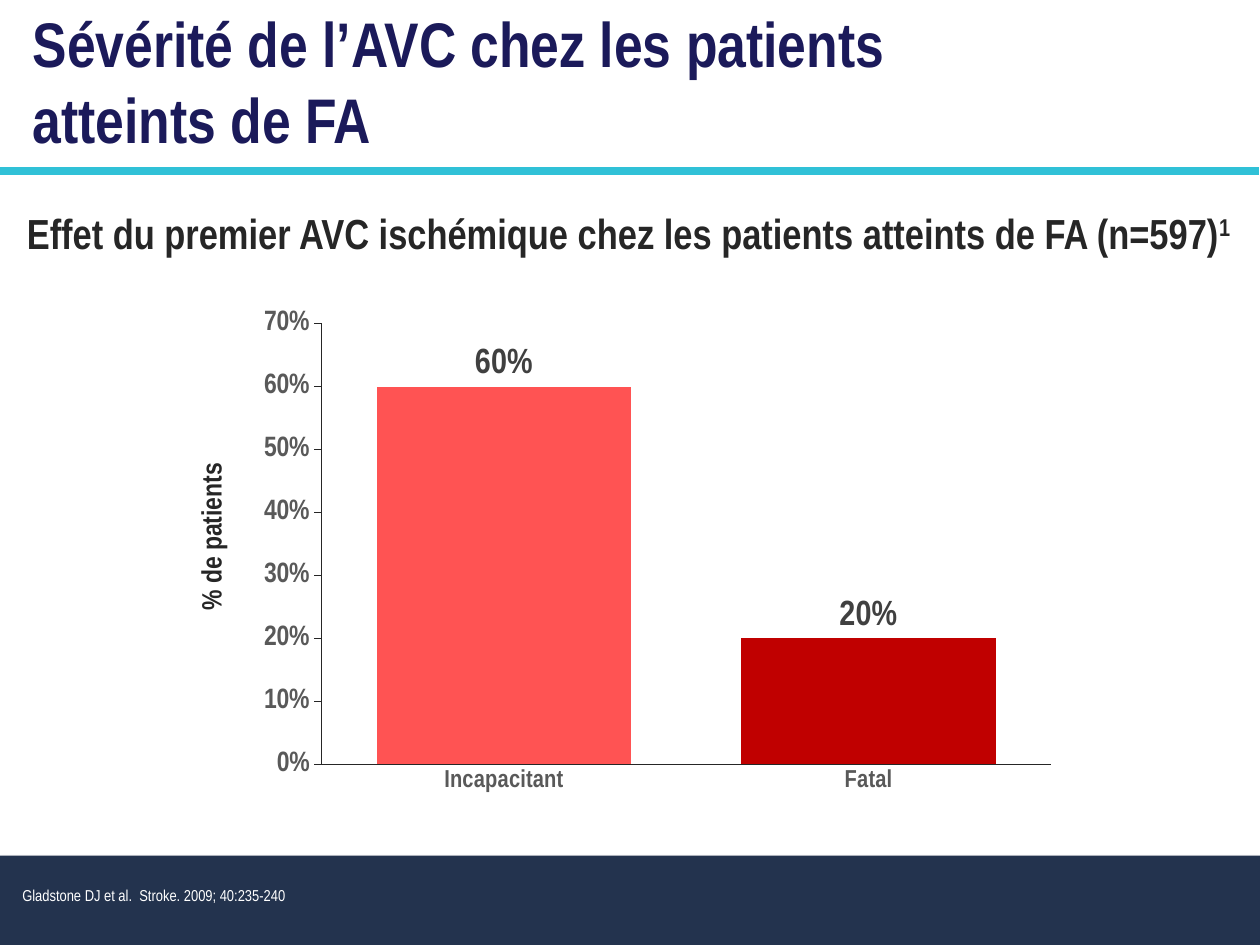
from lxml import etree
from pptx import Presentation
from pptx.chart.data import CategoryChartData
from pptx.dml.color import RGBColor
from pptx.enum.chart import XL_CHART_TYPE, XL_LABEL_POSITION, XL_TICK_MARK
from pptx.enum.shapes import MSO_CONNECTOR, MSO_SHAPE
from pptx.enum.text import MSO_AUTO_SIZE, PP_ALIGN
from pptx.oxml import parse_xml
from pptx.oxml.ns import nsdecls, qn
from pptx.util import Cm, Pt

COLUMN = XL_CHART_TYPE.COLUMN_CLUSTERED
OUTSIDE_END = XL_LABEL_POSITION.OUTSIDE_END
TICK_NONE, TICK_OUT = XL_TICK_MARK.NONE, XL_TICK_MARK.OUTSIDE
LEFT, CENTER = PP_ALIGN.LEFT, PP_ALIGN.CENTER
FIT_SHAPE = MSO_AUTO_SIZE.SHAPE_TO_FIT_TEXT
STRAIGHT, RECTANGLE = MSO_CONNECTOR.STRAIGHT, MSO_SHAPE.RECTANGLE

THEME = {
    "font": "Arial Narrow", "chart_font": "Calibri",
    "footer": "23334E", "rule": "30C1D7", "ink": "262626", "chart_text": "000000",
    "title": {"size": 36, "bold": True, "color": "1B1A5A"},
    "subtitle": {"size": 24, "bold": True, "color": "262626"},
    "axis_title": {"size": 16, "bold": True, "color": "262626"},
    "source": {"size": 9, "bold": False, "color": "FFFFFF"},
    "categories": {"size": 14, "bold": True, "color": "595959"},
    "values": {"size": 16, "bold": True, "color": "595959"},
    "labels": {"size": 20, "bold": True, "color": "404040"},
}

# Content: outcome, share of patients, bar colour
OUTCOMES = [("Incapacitant", 0.6, "FF5353"), ("Fatal", 0.2, "C00000")]
PERCENT = "0%"

# Texts: style, place in cm, alignment, body settings, lines of (text, baseline) spans
TEXTS = [
    ("title", (0.41, -0.03, 18.19, 3.33), LEFT, {},
     [[("Sévérité de l’AVC chez les patients", None)], [("atteints de FA", None)]]),
    ("source", (0.2, 17.73, 24.97, 0.64), LEFT, {},
     [[("Gladstone DJ et al.  Stroke. 2009; 40:235-240", None)]]),
    ("axis_title", (3.78, 6.73, 1.19, 8.18), CENTER, {"vert": "vert270"},
     [[("% de patients", None)]]),
    ("subtitle", (-0.03, 4.11, 25.4, 1.17), CENTER,
     {side: str(Cm(0.08)) for side in ("lIns", "tIns", "rIns", "bIns")},
     [[("Effet du premier AVC ischémique chez les patients atteints de FA (n=597)", None),
       ("1", "31000")]]),
]
PAGE_WIDTH, PAGE_HEIGHT = 25.4, 19.05
FOOTER_HEIGHT = 1.8
RULE_TOP = 3.45
CHART_PLACE = (4.83, 5.99, 16.74, 10.49)
PLOT_AREA = {"x": 0.099, "y": 0.051, "w": 0.878, "h": 0.847}


def rgb(value):
    return RGBColor.from_string(value)


def style_font(font, style):
    settings = {"name": THEME["font"], "size": Pt(style["size"]), "bold": style["bold"]}
    for name, value in settings.items():
        setattr(font, name, value)
    font.color.rgb = rgb(style["color"])


def add_text(page, style, place, align, body, lines):
    box = page.shapes.add_textbox(*map(Cm, place))
    frame = box.text_frame
    frame.word_wrap = True
    frame.auto_size = FIT_SHAPE
    for name, value in body.items():
        box.element.txBody.bodyPr.set(name, value)
    for index, spans in enumerate(lines):
        para = frame.add_paragraph() if index else frame.paragraphs[0]
        para.alignment = align
        for text, baseline in spans:
            span = para.add_run()
            span.text = text
            style_font(span.font, THEME[style])
            if baseline:
                span.font._element.set("baseline", baseline)


def add_footer(page):
    band = page.shapes.add_shape(RECTANGLE, 0, Cm(PAGE_HEIGHT - FOOTER_HEIGHT),
                                 Cm(PAGE_WIDTH), Cm(FOOTER_HEIGHT))
    band.fill.solid()
    band.fill.fore_color.rgb = rgb(THEME["footer"])
    band.line.fill.background()
    band.shadow.inherit = False
    band.element.spPr.find(qn("a:effectLst")).append(parse_xml(
        f'<a:outerShdw {nsdecls("a")} blurRad="{Pt(3.1)}" dist="{Pt(1.8)}" dir="5400000" '
        'rotWithShape="0"><a:srgbClr val="000000"><a:alpha val="35000"/></a:srgbClr>'
        '</a:outerShdw>'))


def add_rule(page):
    rule = page.shapes.add_connector(STRAIGHT, Cm(-0.03), Cm(RULE_TOP),
                                     Cm(PAGE_WIDTH - 0.03), Cm(RULE_TOP))
    rule.line.color.rgb = rgb(THEME["rule"])
    rule.line.width = Pt(4.5)
    etree.SubElement(rule.element.spPr, qn("a:effectLst"))


def place_plot(chart):
    area = chart.element.find(".//" + qn("c:plotArea"))
    for old in area.findall(qn("c:layout")):
        area.remove(old)
    layout = etree.Element(qn("c:layout"))
    manual = etree.SubElement(layout, qn("c:manualLayout"))
    settings = {"layoutTarget": "inner", "xMode": "edge", "yMode": "edge", **PLOT_AREA}
    for name, value in settings.items():
        etree.SubElement(manual, qn("c:" + name)).set("val", str(value))
    area.insert(0, layout)


def add_outcome_chart(page):
    data = CategoryChartData(number_format=PERCENT)
    data.categories = [name for name, _, _ in OUTCOMES]
    data.add_series("Series 1", [share for _, share, _ in OUTCOMES])
    chart = page.shapes.add_chart(COLUMN, *map(Cm, CHART_PLACE), data).chart
    chart.has_legend = chart.has_title = False
    chart.font.name, chart.font.size = THEME["chart_font"], Pt(10)
    chart.font.color.rgb = rgb(THEME["chart_text"])
    place_plot(chart)

    # Axes
    for axis, style, tick in ((chart.category_axis, "categories", TICK_NONE),
                              (chart.value_axis, "values", TICK_OUT)):
        axis.has_major_gridlines = False
        axis.major_tick_mark, axis.minor_tick_mark = tick, TICK_NONE
        axis.format.line.color.rgb = rgb(THEME["ink"])
        axis.format.line.width = Pt(0.75)
        style_font(axis.tick_labels.font, THEME[style])
    scale = {"minimum_scale": 0, "maximum_scale": 0.7, "major_unit": 0.1}
    for name, value in scale.items():
        setattr(chart.value_axis, name, value)
    chart.value_axis.tick_labels.number_format = PERCENT
    chart.value_axis.tick_labels.number_format_is_linked = False

    # Bars and their labels
    plot = chart.plots[0]
    plot.gap_width, plot.overlap, plot.vary_by_categories = 43, -27, False
    series = plot.series[0]
    for index, (_, _, color) in enumerate(OUTCOMES):
        fill = series.points[index].format.fill
        fill.solid()
        fill.fore_color.rgb = rgb(color)
    labels = series.data_labels
    settings = {"show_value": True, "position": OUTSIDE_END,
                "number_format": PERCENT, "number_format_is_linked": False}
    for name, value in settings.items():
        setattr(labels, name, value)
    style_font(labels.font, THEME["labels"])


def main():
    deck = Presentation()
    deck.slide_width, deck.slide_height = Cm(PAGE_WIDTH), Cm(PAGE_HEIGHT)
    page = deck.slides.add_slide(deck.slide_layouts[6])
    add_footer(page)
    add_rule(page)
    add_outcome_chart(page)
    for text in TEXTS:
        add_text(page, *text)
    deck.save("out.pptx")


if __name__ == "__main__":
    main()
